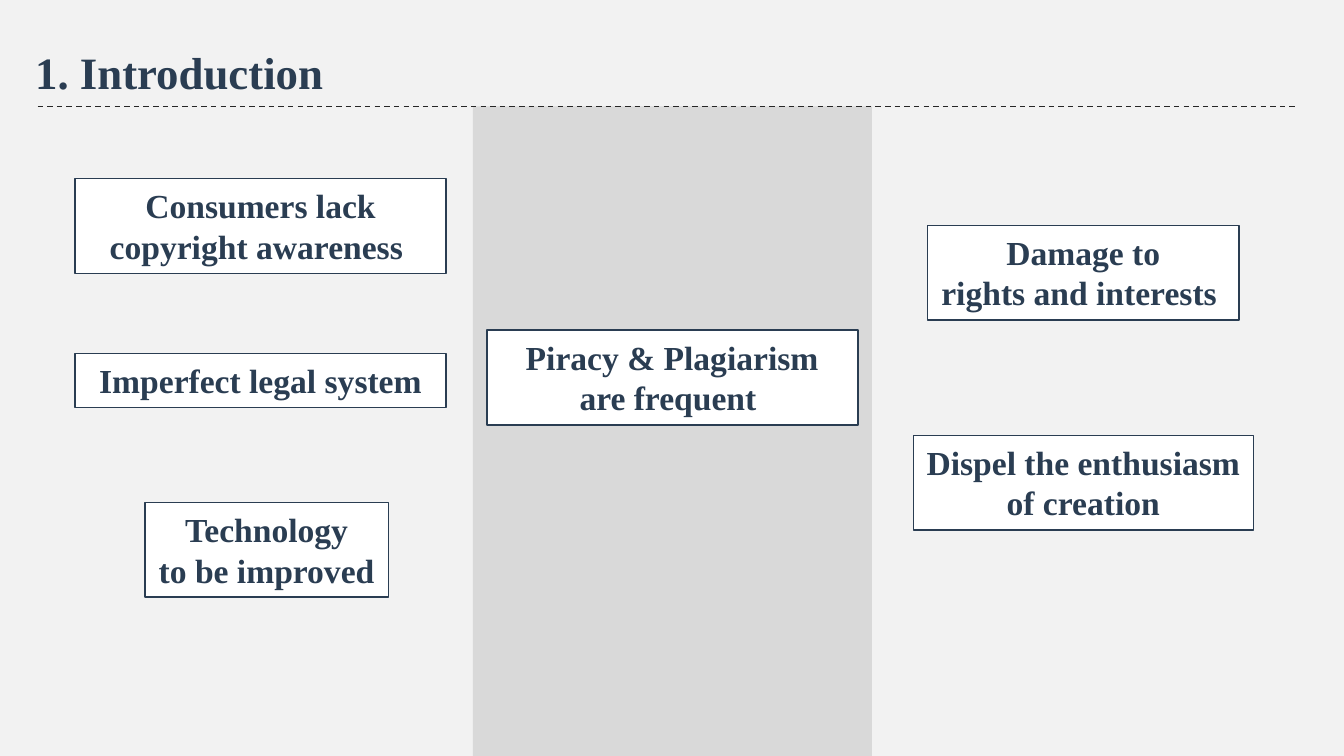
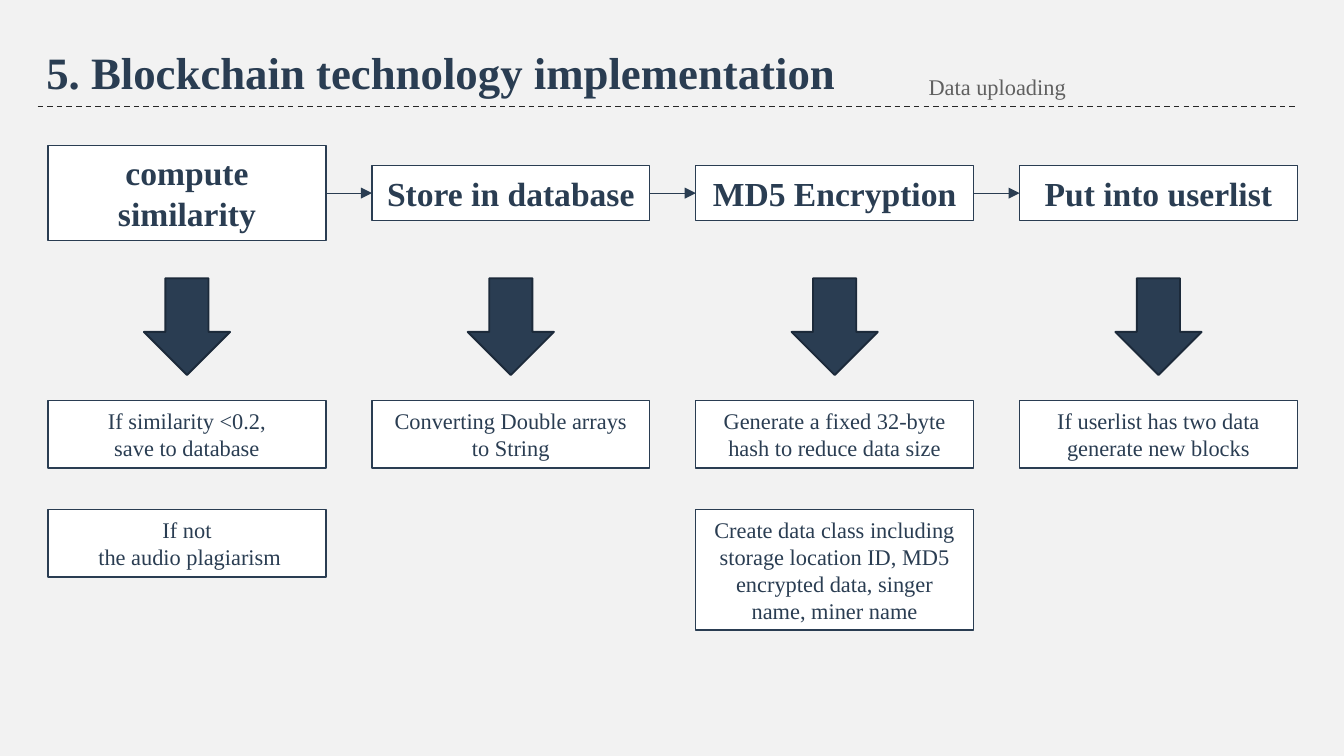
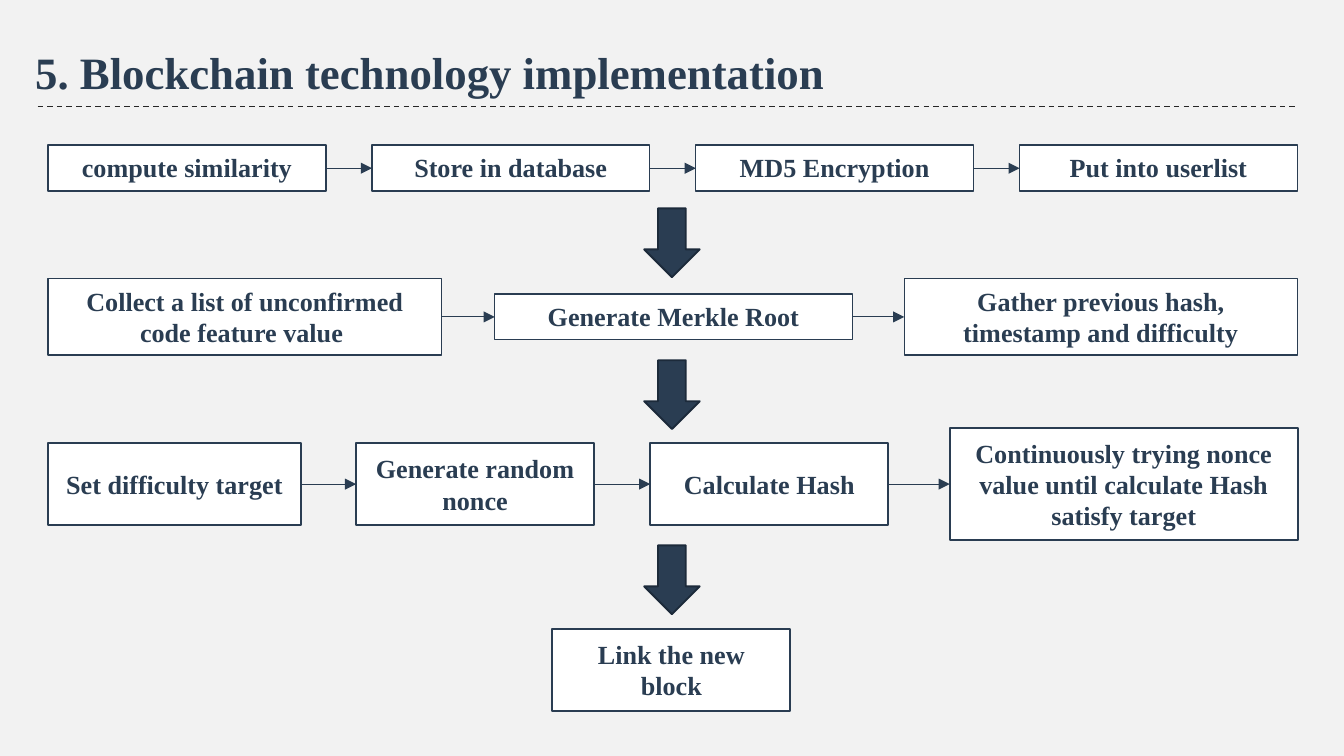
from lxml import etree
from pptx import Presentation
from pptx.dml.color import RGBColor
from pptx.enum.dml import MSO_LINE
from pptx.enum.shapes import MSO_CONNECTOR, MSO_SHAPE
from pptx.enum.text import MSO_ANCHOR, MSO_AUTO_SIZE, PP_ALIGN
from pptx.oxml.ns import qn
from pptx.util import Cm, Pt

RECTANGLE, DOWN_ARROW = MSO_SHAPE.RECTANGLE, MSO_SHAPE.DOWN_ARROW
STRAIGHT = MSO_CONNECTOR.STRAIGHT
DASH = MSO_LINE.DASH
TOP, MIDDLE = MSO_ANCHOR.TOP, MSO_ANCHOR.MIDDLE
FIT_SHAPE, FIXED = MSO_AUTO_SIZE.SHAPE_TO_FIT_TEXT, MSO_AUTO_SIZE.NONE
LEFT, CENTER = PP_ALIGN.LEFT, PP_ALIGN.CENTER
LEFT_SIDE, RIGHT_SIDE = 1, 3

FONT = "Times New Roman"
COLORS = {
    "background": "F2F2F2",
    "band": "D9D9D9",
    "box": "FFFFFF",
    "navy": "2A3D52",
    "arrow edge": "1C2A3A",
    "rule": "262626",
    "label": "606060",
}

# All lengths below are centimetres.
SLIDE_WIDTH, SLIDE_HEIGHT = 25.4, 14.29
RULE_LEFT, RULE_RIGHT, RULE_TOP = 0.71, 24.51, 2.01
BAND_LEFT, BAND_WIDTH = 8.94, 7.54
COLUMN_LEFT, COLUMN_STEP, COLUMN_WIDTH = 0.91, 6.12, 5.25

# text, left, top, width, height, format
CAUSES_AND_EFFECTS = [
    ("Consumers lack copyright awareness ", 1.42, 3.38, 7.01, 1.79, {}),
    ("Imperfect legal system", 1.42, 6.68, 7.01, 1.03, {}),
    ("Technology\nto be improved", 2.74, 9.5, 4.6, 1.79, {"wrap": False}),
    ("Piracy & Plagiarism are frequent ", 9.2, 6.24, 7.01, 1.79, {"edge": 1}),
    ("Damage to\nrights and interests ", 17.53, 4.26, 5.89, 1.79, {"wrap": False}),
    ("Dispel the enthusiasm\nof creation", 17.26, 8.23, 6.43, 1.79, {"wrap": False}),
]

STEPS = ["compute similarity", "Store in database", "MD5 Encryption", "Put into userlist"]
UPLOAD_HEIGHTS = [1.79, 1.03, 1.03, 1.03]
NOTE_TOPS = [7.57, 9.63]
# for each step: text, height
STEP_NOTES = [
    [("If similarity <0.2,\nsave to database", 1.28),
     ("If not\n the audio plagiarism", 1.28)],
    [("Converting Double arrays to String", 1.28)],
    [("Generate a fixed 32-byte hash to reduce data size", 1.28),
     ("Create data class including storage location ID, MD5 encrypted data, "
      "singer name, miner name", 2.28)],
    [("If userlist has two data\ngenerate new blocks", 1.28)],
]

# text, left, width, height
MERKLE_ROW = [
    ("Collect a list of unconfirmed code feature value ", 0.91, 7.44, 1.45),
    ("Generate Merkle Root", 9.35, 6.76, 0.87),
    ("Gather previous hash, timestamp and difficulty", 17.09, 7.43, 1.45),
]
MINING_ROW = [
    ("Set difficulty target", 0.91, 4.78, 1.55),
    ("Generate random nonce", 6.73, 4.5, 1.55),
    ("Calculate Hash", 12.29, 4.5, 1.55),
    ("Continuously trying nonce value until calculate Hash satisfy target",
     17.95, 6.58, 2.11),
]
LINK_ROW = [("Link the new block", 10.44, 4.5, 1.55)]
FIXED_BOX = {"grow": False, "edge": 1}
# row centre, boxes, format
BLOCK_ROWS = [
    (5.99, MERKLE_ROW, {}),
    (9.15, MINING_ROW, FIXED_BOX),
    (12.66, LINK_ROW, FIXED_BOX),
]
ROW_ARROW_TOPS = [3.94, 6.81, 10.31]


def color(name):
    return RGBColor.from_string(COLORS[name])


def column_left(index):
    return COLUMN_LEFT + index * COLUMN_STEP


def write_text(frame, text, size=18, bold=True, ink="navy", align=CENTER,
               wrap=True, grow=True):
    frame.word_wrap = wrap
    frame.auto_size = FIT_SHAPE if grow else FIXED
    frame.vertical_anchor = TOP if grow else MIDDLE
    for index, line in enumerate(text.split("\n")):
        para = frame.add_paragraph() if index else frame.paragraphs[0]
        para.alignment = align
        span = para.add_run()
        span.text = line
        span.font.name, span.font.size, span.font.bold = FONT, Pt(size), bold
        span.font.color.rgb = color(ink)


def add_preset(page, kind, left, top, width, height, fill, line=None, edge=0.75):
    shape = page.shapes.add_shape(kind, Cm(left), Cm(top), Cm(width), Cm(height))
    shape.shadow.inherit = False
    shape.fill.solid()
    shape.fill.fore_color.rgb = color(fill)
    if line:
        shape.line.color.rgb = color(line)
        shape.line.width = Pt(edge)
    else:
        shape.line.fill.background()
    return shape


def add_box(page, text, left, top, width, height, edge=0.75, **style):
    box = add_preset(page, RECTANGLE, left, top, width, height, "box", "navy", edge)
    write_text(box.text_frame, text, **style)
    return box


def add_down_arrow(page, center, top, width, height):
    add_preset(page, DOWN_ARROW, center - width / 2, top, width, height,
               "navy", "arrow edge", 1)


def add_line(page, start, end, ink, width):
    line = page.shapes.add_connector(STRAIGHT, *map(Cm, start + end))
    line.line.color.rgb = color(ink)
    line.line.width = Pt(width)
    etree.SubElement(line._element.spPr, qn("a:effectLst"))
    return line


def link(page, source, target):
    """Draw an arrow from the right side of one box to the left side of the next."""
    arrow = add_line(page, (0, 0), (0, 0), "navy", 0.5)
    arrow.begin_connect(source, RIGHT_SIDE)
    arrow.end_connect(target, LEFT_SIDE)
    etree.SubElement(arrow.line._get_or_add_ln(), qn("a:tailEnd"), type="triangle")


def add_row(page, center, boxes, **style):
    """Centre boxes on one height and link each to its neighbour."""
    row = [add_box(page, text, left, center - height / 2, width, height, **style)
           for text, left, width, height in boxes]
    for source, target in zip(row, row[1:]):
        link(page, source, target)


def add_step_row(page, center, heights, size):
    boxes = [(text, column_left(index), COLUMN_WIDTH, height)
             for index, (text, height) in enumerate(zip(STEPS, heights))]
    add_row(page, center, boxes, size=size)


def add_page(deck, title, width, band=False):
    page = deck.slides.add_slide(deck.slide_layouts[5])
    heading = page.shapes.title
    heading.left, heading.top = Cm(0.41), Cm(0.71)
    heading.width, heading.height = Cm(width), Cm(1.28)
    write_text(heading.text_frame, title, size=24, align=LEFT)
    if band:
        add_preset(page, RECTANGLE, BAND_LEFT, RULE_TOP, BAND_WIDTH,
                   SLIDE_HEIGHT - RULE_TOP, "band")
    rule = add_line(page, (RULE_LEFT, RULE_TOP), (RULE_RIGHT, RULE_TOP), "rule", 0.75)
    rule.line.dash_style = DASH
    return page


def build_introduction(deck):
    page = add_page(deck, "1. Introduction", 8.79, band=True)
    for *place, style in CAUSES_AND_EFFECTS:
        add_box(page, *place, **style)


def build_uploading(deck):
    page = add_page(deck, " 5. Blockchain technology implementation", 18.01)
    label = page.shapes.add_textbox(Cm(17.3), Cm(1.25), Cm(3.1), Cm(0.76))
    write_text(label.text_frame, "Data uploading", size=12, bold=False,
               ink="label", align=LEFT, wrap=False)
    add_step_row(page, 3.65, UPLOAD_HEIGHTS, 18)
    for index, notes in enumerate(STEP_NOTES):
        left = column_left(index)
        add_down_arrow(page, left + COLUMN_WIDTH / 2, 5.26, 1.63, 1.83)
        for top, (text, height) in zip(NOTE_TOPS, notes):
            add_box(page, text, left, top, COLUMN_WIDTH, height, size=12, bold=False)


def build_block_creation(deck):
    page = add_page(deck, "5. Blockchain technology implementation", 16.1)
    add_step_row(page, 3.18, [0.87] * len(STEPS), 14)
    for center, boxes, style in BLOCK_ROWS:
        add_row(page, center, boxes, size=14, **style)
    for top in ROW_ARROW_TOPS:
        add_down_arrow(page, SLIDE_WIDTH / 2, top, 1.05, 1.3)


def main():
    deck = Presentation()
    deck.slide_width, deck.slide_height = Cm(SLIDE_WIDTH), Cm(SLIDE_HEIGHT)
    backdrop = deck.slide_master.background.fill
    backdrop.solid()
    backdrop.fore_color.rgb = color("background")
    build_introduction(deck)
    build_uploading(deck)
    build_block_creation(deck)
    deck.save("out.pptx")


if __name__ == "__main__":
    main()
